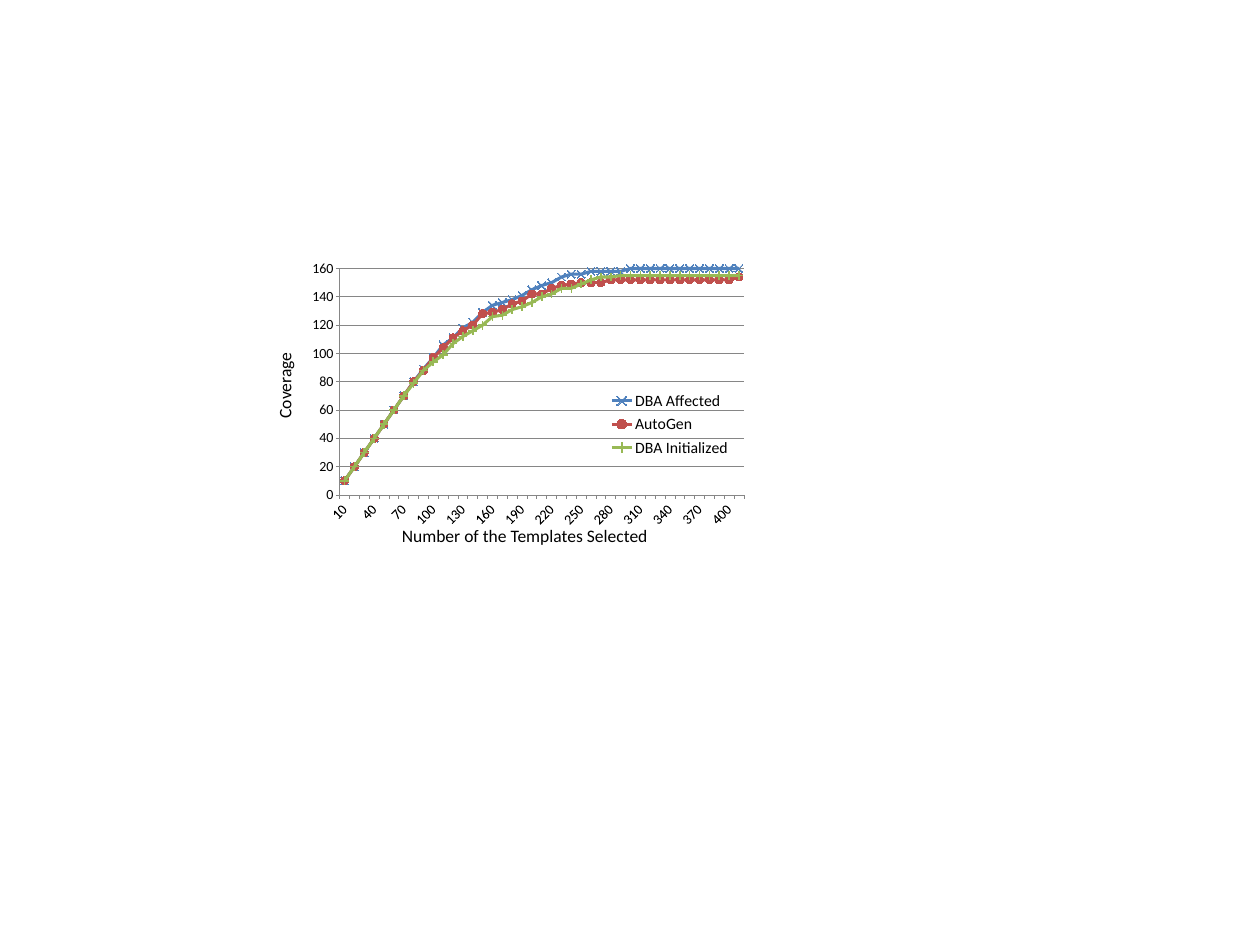
from dataclasses import dataclass

from lxml import etree
from pptx import Presentation
from pptx import util as u
from pptx.chart.data import CategoryChartData
from pptx.dml.color import RGBColor
from pptx.enum import chart as ch
from pptx.enum import text as tx
from pptx.oxml import parse_xml
from pptx.oxml.ns import nsdecls, qn

FONT = "Calibri"
BLACK = "000000"
GRID_GRAY = "868686"


@dataclass(frozen=True)
class Curve:
    name: str
    color: str
    marker: ch.XL_MARKER_STYLE
    coverage: list[int]


CURVES = [
    Curve("DBA Affected", "4F81BD", ch.XL_MARKER_STYLE.X,
          [*range(10, 81, 10), 89, 97, 106, 111, 118, 122, 129, 134, 136, 138,
           141, 145, 148, 150, 154, 156, 156] + [158] * 4 + [160] * 12),
    Curve("AutoGen", "C0504D", ch.XL_MARKER_STYLE.CIRCLE,
          [*range(10, 81, 10), 88, 97, 104, 111, 116, 120, 128, 129, 131, 135,
           137, 142, 142, 146, 148, 149, 150, 150, 150] + [152] * 13 + [154]),
    Curve("DBA Initialized", "98B955", ch.XL_MARKER_STYLE.PLUS,
          [*range(10, 71, 10), 79, 88, 94, 99, 107, 112, 116, 120, 126, 127,
           131, 133, 136, 140, 142, 146, 146, 149, 152, 154, 154] + [155] * 13),
]


def rgb(color: str) -> RGBColor:
    return RGBColor.from_string(color)


def style_font(font, size: float, color: str = BLACK) -> None:
    font.name = FONT
    font.size = u.Pt(size)
    font.bold = False
    font.color.rgb = rgb(color)


def add_label(slide, words: str, *, left: float, top: float, width: float,
              height: float, size: float = 20, vertical: bool = False) -> None:
    box = slide.shapes.add_textbox(u.Cm(left), u.Cm(top), u.Cm(width), u.Cm(height))
    frame = box.text_frame
    frame.word_wrap = False
    frame.auto_size = tx.MSO_AUTO_SIZE.SHAPE_TO_FIT_TEXT
    run = frame.paragraphs[0].add_run()
    run.text = words
    style_font(run.font, size)
    if vertical:
        frame._txBody.find(qn("a:bodyPr")).set("vert", "vert270")


def layout_xml(x: float, y: float, w: float, h: float, inner: bool = False) -> etree._Element:
    target = '<c:layoutTarget val="inner"/>' if inner else ""
    modes = '<c:xMode val="edge"/><c:yMode val="edge"/>'
    sizes = "".join(f'<c:{key} val="{value}"/>'
                    for key, value in zip("xywh", (x, y, w, h)))
    return parse_xml(f'<c:layout {nsdecls("c")}><c:manualLayout>{target}{modes}{sizes}'
                     "</c:manualLayout></c:layout>")


def drop_layout(parent: etree._Element) -> None:
    for old in parent.findall(qn("c:layout")):
        parent.remove(old)


def no_fill() -> etree._Element:
    return parse_xml(f'<c:spPr {nsdecls("c", "a")}><a:noFill/><a:ln><a:noFill/></a:ln></c:spPr>')


def style_line(line, color: str, width: float) -> None:
    line.color.rgb = rgb(color)
    line.width = u.Pt(width)


def style_axis(axis) -> None:
    axis.major_tick_mark = ch.XL_TICK_MARK.OUTSIDE
    axis.minor_tick_mark = ch.XL_TICK_MARK.NONE
    style_font(axis.tick_labels.font, 16)
    style_line(axis.format.line, GRID_GRAY, 0.75)


def add_coverage_chart(slide) -> None:
    data = CategoryChartData(number_format="General")
    data.categories = range(10, 411, 10)
    for curve in CURVES:
        data.add_series(curve.name, curve.coverage)
    chart = slide.shapes.add_chart(ch.XL_CHART_TYPE.LINE_MARKERS, u.Cm(12.07), u.Cm(10.16),
                                   u.Cm(18.67), u.Cm(11.13), data).chart
    chart.has_title = False
    style_font(chart.font, 10)
    chart.plots[0].vary_by_categories = False

    for series, curve in zip(chart.plots[0].series, CURVES):
        series.smooth = False
        style_line(series.format.line, curve.color, 3.5)
        series.marker.style = curve.marker
        series.marker.size = 9
        series.marker.format.fill.solid()
        series.marker.format.fill.fore_color.rgb = rgb(curve.color)
        series.marker.format.line.fill.background()

    templates, coverage = chart.category_axis, chart.value_axis
    for axis in (templates, coverage):
        style_axis(axis)
    templates.has_major_gridlines = False
    templates._element.find(qn("c:txPr")).find(qn("a:bodyPr")).set("rot", "-2700000")
    coverage.minimum_scale, coverage.maximum_scale, coverage.major_unit = 0, 160, 20
    coverage.has_major_gridlines = True
    style_line(coverage.major_gridlines.format.line, GRID_GRAY, 0.75)

    chart.has_legend = True
    legend = chart.legend
    legend.position = ch.XL_LEGEND_POSITION.RIGHT
    legend.include_in_layout = False
    style_font(legend.font, 18)
    drop_layout(legend._element)
    legend._element.find(qn("c:legendPos")).addnext(layout_xml(0.65, 0.49, 0.3, 0.27))

    space = chart._chartSpace
    plot_area = space.chart.plotArea
    drop_layout(plot_area)
    plot_area.insert(0, layout_xml(0.087, 0.06, 0.873, 0.822, inner=True))
    plot_area.append(no_fill())
    space.chart.addnext(no_fill())


def main() -> None:
    deck = Presentation()
    deck.slide_width, deck.slide_height = u.Cm(50.8), u.Cm(38.1)
    slide = deck.slides.add_slide(deck.slide_layouts[6])
    add_label(slide, "Number of the Templates Selected",
              left=15.95, top=21.03, width=10.59, height=1.12)
    add_label(slide, "Coverage", left=10.92, top=14.15, width=1.37, height=2.97, vertical=True)
    add_coverage_chart(slide)
    deck.save("out.pptx")


main()
